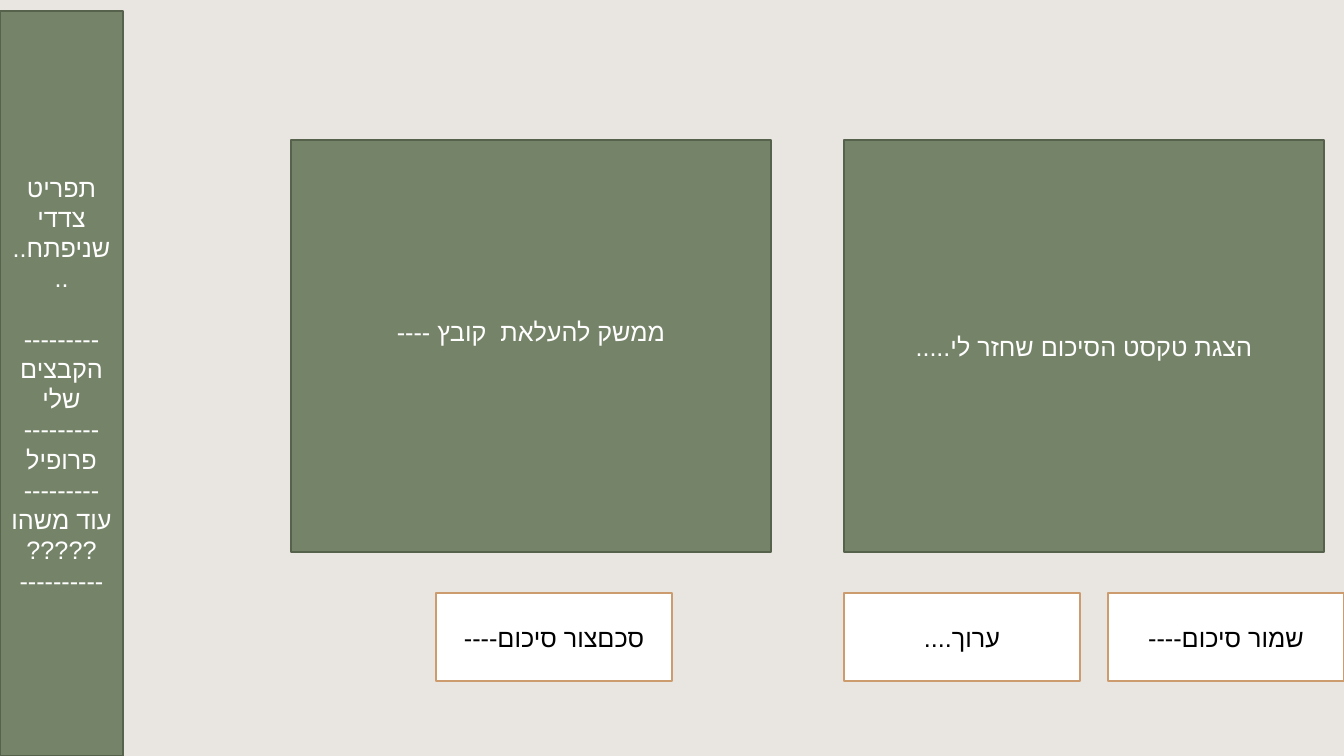
from dataclasses import dataclass

from pptx import Presentation
from pptx.dml.color import RGBColor
from pptx.enum.shapes import MSO_SHAPE
from pptx.enum.text import MSO_ANCHOR, PP_ALIGN
from pptx.oxml.ns import qn
from pptx.util import Emu, Pt

RECTANGLE = MSO_SHAPE.RECTANGLE
MIDDLE = MSO_ANCHOR.MIDDLE
CENTER = PP_ALIGN.CENTER

EMU_PER_PX = 914400 / 100.8
SLIDE_W, SLIDE_H = 1344, 756
PANEL_W, PANEL_H = 480, 412
BUTTON_W, BUTTON_H = 236, 88
LINE_H = 30


@dataclass(frozen=True)
class BoxStyle:
    fill: str
    line: str
    text: str


@dataclass(frozen=True)
class Theme:
    backdrop: str = "E0DAD4"
    backdrop_opacity: int = 70
    panel: BoxStyle = BoxStyle("758468", "57624D", "FFFFFF")
    button: BoxStyle = BoxStyle("FFFFFF", "CC9C6F", "000000")
    font: str = "Calibri"
    hebrew_font: str = "Arial"
    text_size: int = 18
    line_width: int = 1


THEME = Theme()


def px(length):
    return Emu(round(length * EMU_PER_PX))


def add_rectangle(slide, box, fill):
    rectangle = slide.shapes.add_shape(RECTANGLE, *map(px, box))
    rectangle.shadow.inherit = False
    rectangle.fill.solid()
    rectangle.fill.fore_color.rgb = RGBColor.from_string(fill)
    return rectangle


def add_backdrop(slide, box):
    """Tint the whole slide with a translucent colour."""
    backdrop = add_rectangle(slide, box, THEME.backdrop)
    backdrop.line.fill.background()
    color = backdrop._element.spPr.find(qn("a:solidFill")).find(qn("a:srgbClr"))
    color.append(color.makeelement(
        qn("a:alpha"), {"val": str(THEME.backdrop_opacity * 1000)}))


def add_box(slide, box, style, lines):
    """Draw a bordered rectangle with centred right-to-left text."""
    rectangle = add_rectangle(slide, box, style.fill)
    rectangle.line.color.rgb = RGBColor.from_string(style.line)
    rectangle.line.width = Pt(THEME.line_width)

    frame = rectangle.text_frame
    frame.word_wrap = True
    frame.vertical_anchor = MIDDLE
    frame.text = "\n".join(lines)
    for paragraph in frame.paragraphs:
        paragraph.alignment = CENTER
        paragraph._p.get_or_add_pPr().set("rtl", "1")
        for run in paragraph.runs:
            run.font.name = THEME.font
            run.font.size = Pt(THEME.text_size)
            run.font.color.rgb = RGBColor.from_string(style.text)
            # Hebrew takes the complex-script font
            properties = run._r.get_or_add_rPr()
            properties.append(properties.makeelement(
                qn("a:cs"), {"typeface": THEME.hebrew_font}))
    return frame


def add_side_menu(slide, box):
    divider = "-" * 9
    menu = add_box(slide, box, THEME.panel, [
        "תפריט צדדי שניפתח....", divider,
        "הקבצים שלי", divider,
        "פרופיל", divider,
        "עוד משהו ?????", divider + "-",
    ])
    # Gap of one line between the menu title and its items
    menu.paragraphs[1].space_before = px(LINE_H)


def add_upload_area(slide, box):
    left, top, _, height = box
    # File panel, its text raised by half a line
    panel = add_box(slide, (left, top, PANEL_W, PANEL_H), THEME.panel,
                    ["ממשק להעלאת  קובץ ----"])
    panel.margin_bottom += px(LINE_H)
    # Button that creates the summary
    add_box(slide, (left + 145, top + height - BUTTON_H, BUTTON_W, BUTTON_H),
            THEME.button, ["סכםצור סיכום----"])


def add_summary_area(slide, box):
    left, top, width, height = box
    # Summary text panel
    add_box(slide, (left, top, PANEL_W, PANEL_H), THEME.panel,
            ["הצגת טקסט הסיכום שחזר לי....."])
    # Save and edit buttons at the two ends of the area
    buttons = (("שמור סיכום----", left + width - BUTTON_W), ("ערוך....", left))
    for label, button_left in buttons:
        add_box(slide, (button_left, top + height - BUTTON_H, BUTTON_W, BUTTON_H),
                THEME.button, [label])


def main():
    presentation = Presentation()
    presentation.slide_width = px(SLIDE_W)
    presentation.slide_height = px(SLIDE_H)
    slide = presentation.slides.add_slide(presentation.slide_layouts[6])

    add_backdrop(slide, (0, 0, SLIDE_W, SLIDE_H))
    add_upload_area(slide, (291, 140, PANEL_W, 541))
    add_summary_area(slide, (844, 140, 500, 541))
    add_side_menu(slide, (0, 11, 123, 745))
    presentation.save("out.pptx")


if __name__ == "__main__":
    main()
